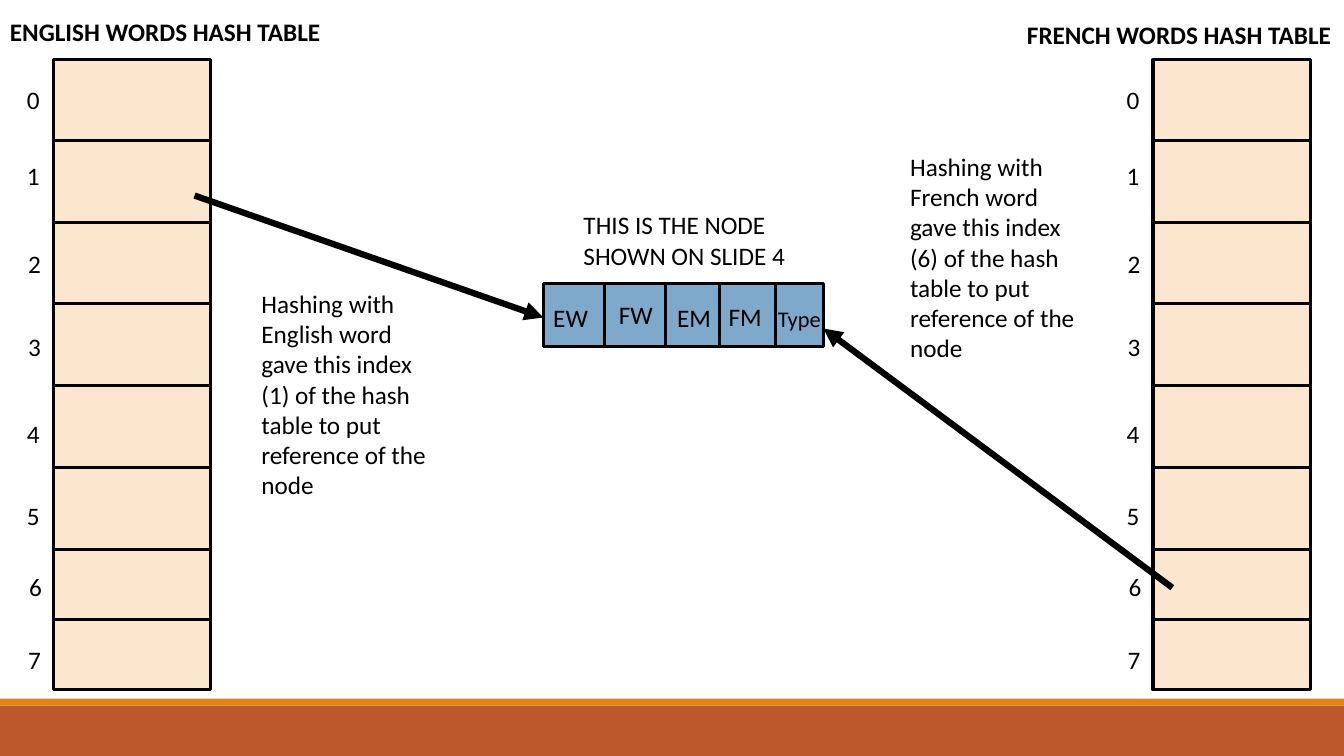
from dataclasses import dataclass

from lxml.etree import SubElement
from pptx import Presentation
from pptx.dml.color import RGBColor
from pptx.enum.shapes import MSO_CONNECTOR as CONN, MSO_SHAPE as SHAPE
from pptx.enum.text import MSO_AUTO_SIZE as AUTO
from pptx.oxml.ns import qn
from pptx.util import Pt


@dataclass(frozen=True)
class Theme:
    font: str = "Calibri"
    ink: str = "000000"
    bucket: str = "FBE6CE"
    node: str = "7EA9CA"
    footer: str = "BD582C"
    accent: str = "E48312"
    body: int = 18
    small: int = 16
    thin: float = 2.25
    thick: float = 4.5


class Deck:
    def __init__(self, theme):
        self.theme = theme
        self.prs = Presentation()
        self.prs.slide_width, self.prs.slide_height = Pt(960), Pt(540)
        self.s = self.prs.slides.add_slide(self.prs.slide_layouts[6])

    def rect(self, x, y, w, h, fill, outlined=True):
        sp = self.s.shapes.add_shape(SHAPE.RECTANGLE, Pt(x), Pt(y), Pt(w), Pt(h))
        sp.shadow.inherit = False
        sp.fill.solid()
        sp.fill.fore_color.rgb = RGBColor.from_string(fill)
        if outlined:
            sp.line.color.rgb = RGBColor.from_string(self.theme.ink)
            sp.line.width = Pt(self.theme.thin)
        else:
            sp.line.fill.background()

    def line(self, x1, y1, x2, y2, arrow=False):
        sp = self.s.shapes.add_connector(CONN.STRAIGHT, Pt(x1), Pt(y1), Pt(x2), Pt(y2))
        sp.line.color.rgb = RGBColor.from_string(self.theme.ink)
        sp.line.width = Pt(self.theme.thick if arrow else self.theme.thin)
        if arrow:
            SubElement(sp.line._get_or_add_ln(), qn("a:tailEnd"), type="triangle")
        SubElement(sp._element.spPr, qn("a:effectLst"))

    def text(self, text, x, y, w, h=29, size=None, bold=False):
        tf = self.s.shapes.add_textbox(Pt(x), Pt(y), Pt(w), Pt(h)).text_frame
        tf.word_wrap = True
        tf.auto_size = AUTO.SHAPE_TO_FIT_TEXT
        r = tf.paragraphs[0].add_run()
        r.text = text
        r.font.name = self.theme.font
        r.font.size = Pt(size or self.theme.body)
        r.font.bold = bold
        r.font.color.rgb = RGBColor.from_string(self.theme.ink)

    def hash_table(self, x):
        width = 112.4
        self.rect(x, 42.8, width, 450, self.theme.bucket)
        for y in [100.2 + 58.45 * i for i in range(6)] + [442.4]:
            self.line(x + width, y, x, y)
        labels = [(26, 56.9), (26, 110.9), (25.2, 173.5), (25.2, 233.3),
                  (26, 295.2), (26, 353.5), (24.5, 404.6), (25.2, 456.5)]
        for i, (gap, y) in enumerate(labels):
            self.text(str(i), x - gap, y, 26.6)

    def word_node(self, x, y, w, h):
        self.rect(x, y, w, h, self.theme.node)
        for divider in (432, 475.2, 514.1, 553.7):
            self.line(divider, y, divider, y + h)
        body, small = self.theme.body, self.theme.small
        fields = [("EW", 388.1, 212.4, 49.7, body), ("FW", 434.9, 210.2, 44.6, body),
                  ("EM", 476.6, 212.4, 48.2, body), ("FM", 513.4, 211.7, 39.6, body),
                  ("Type", 548.6, 214.6, 52.6, small)]
        for name, left, top, width, size in fields:
            self.text(name, left, top, width, size=size)

    def hashing_note(self, language, index, x, y):
        self.text(f"Hashing with {language} word gave this index ({index}) of the "
                  "hash table to put reference of the node", x, y, 136, 160)


def main():
    theme = Theme()
    deck = Deck(theme)
    deck.rect(0, 504, 960, 36, theme.footer, outlined=False)
    deck.rect(0, 499, 960, 5, theme.accent, outlined=False)
    deck.hash_table(38.2)
    deck.hash_table(823.6)
    deck.word_node(388.1, 202.3, 200.2, 45.4)
    deck.text("ENGLISH WORDS HASH TABLE", 0, 7.9, 245, bold=True)
    deck.text("FRENCH WORDS HASH TABLE", 726.5, 10, 233.5, bold=True)
    deck.line(139, 139.7, 388.1, 226.8, arrow=True)
    deck.line(837.4, 419.8, 588.2, 234.7, arrow=True)
    deck.text("THIS IS THE NODE SHOWN ON SLIDE 4", 409.7, 146.2, 165, 51)
    deck.hashing_note("English", 1, 179.7, 202.3)
    deck.hashing_note("French", 6, 643, 104.4)
    deck.prs.save("out.pptx")


if __name__ == "__main__":
    main()
